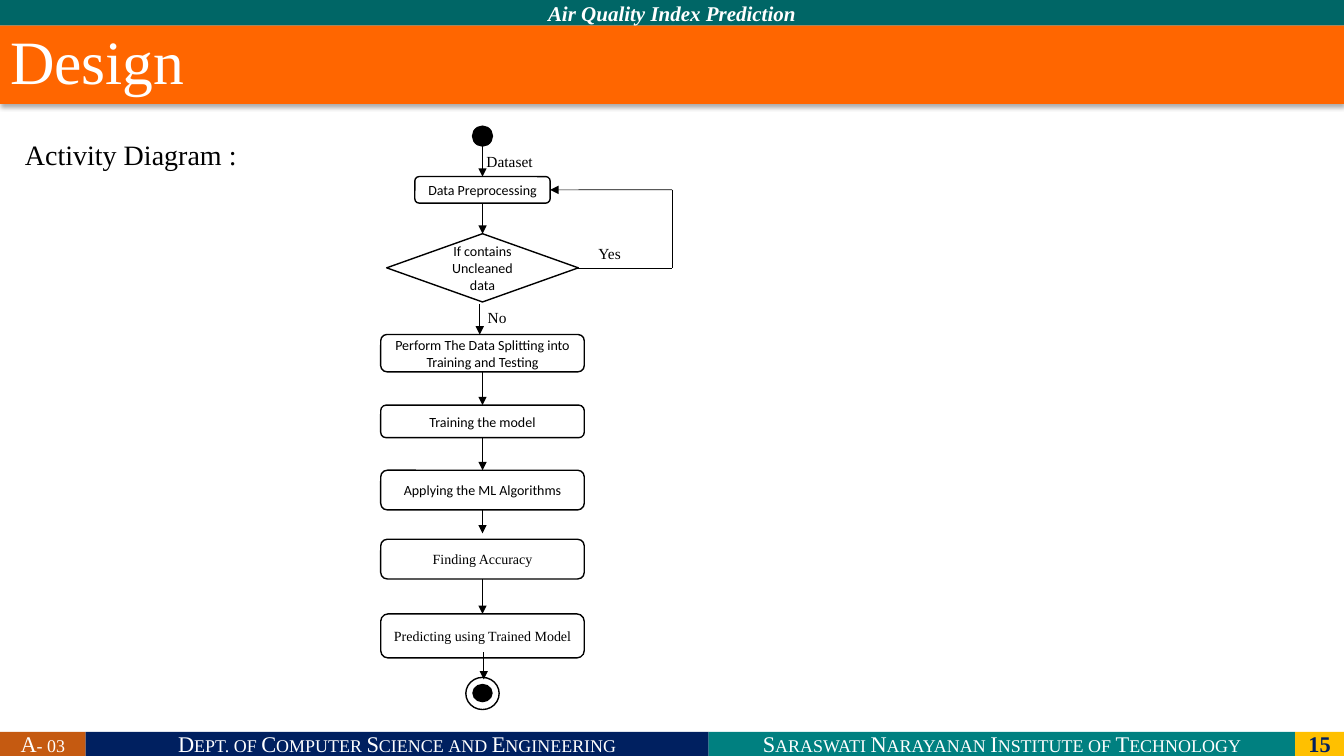
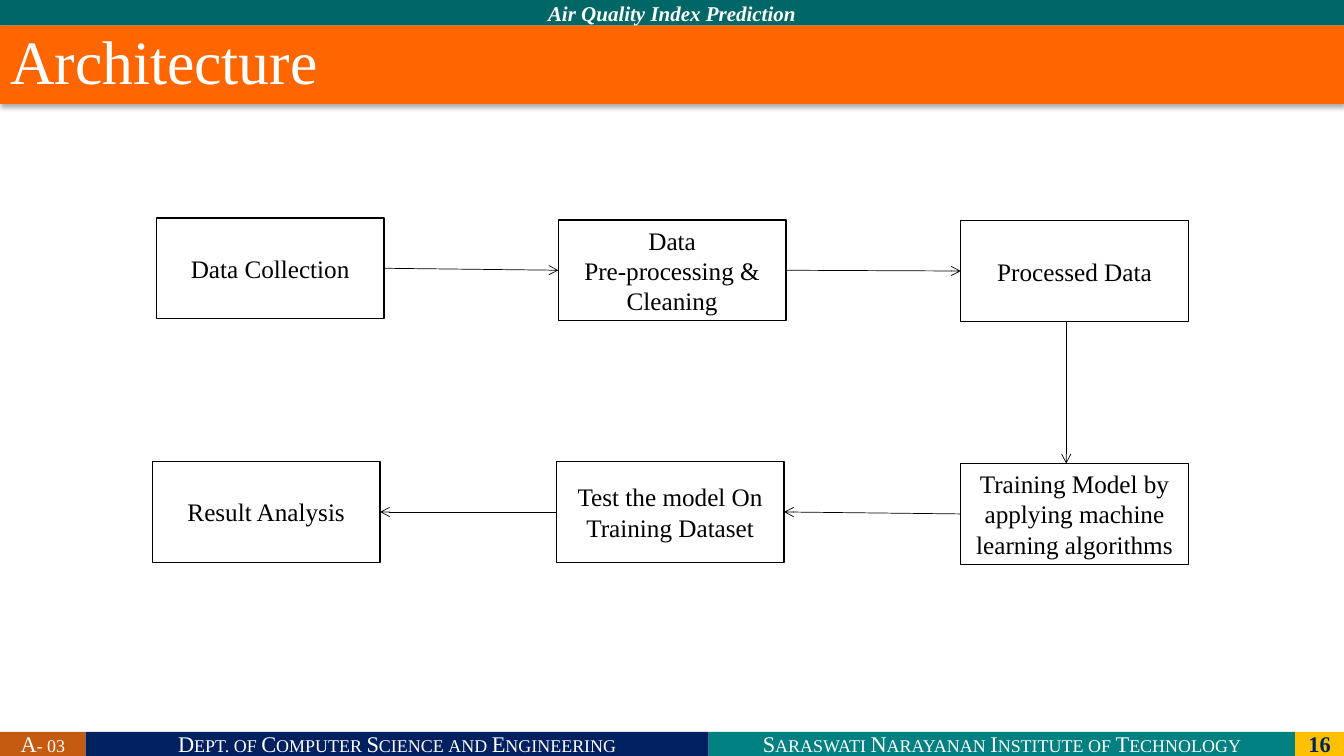
from dataclasses import dataclass

from lxml import etree
from pptx import Presentation
from pptx.dml.color import RGBColor
from pptx.enum.shapes import MSO_CONNECTOR, MSO_SHAPE
from pptx.enum.text import MSO_ANCHOR, MSO_AUTO_SIZE, PP_ALIGN
from pptx.oxml.ns import qn
from pptx.util import Cm, Pt

RECT = MSO_SHAPE.RECTANGLE
ROUNDED = MSO_SHAPE.ROUNDED_RECTANGLE
DIAMOND = MSO_SHAPE.DIAMOND
ELLIPSE = MSO_SHAPE.OVAL
STRAIGHT = MSO_CONNECTOR.STRAIGHT
LEFT_ALIGN = PP_ALIGN.LEFT
CENTER_ALIGN = PP_ALIGN.CENTER
MIDDLE = MSO_ANCHOR.MIDDLE
NO_FIT = MSO_AUTO_SIZE.NONE
GROW = MSO_AUTO_SIZE.SHAPE_TO_FIT_TEXT

TITLE_ONLY = 5
TOP, LEFT, BOTTOM, RIGHT = range(4)


@dataclass(frozen=True)
class Theme:
    white: str = "FFFFFF"
    black: str = "000000"
    navy: str = "002060"
    teal: str = "008080"
    dark_teal: str = "006666"
    gold: str = "FFC000"
    rust: str = "C55A11"
    orange: str = "FF6600"
    serif: str = "Times New Roman"
    sans: str = "Calibri"
    title_size: int = 44
    heading_size: int = 20
    block_size: int = 18
    footer_size: int = 16
    header_size: int = 15
    label_size: int = 11
    step_size: int = 10
    outline: float = 1
    connector: float = 0.5


THEME = Theme()
PAGE_WIDTH, PAGE_HEIGHT = 33.87, 19.05
FOOTER_TOP, FOOTER_HEIGHT = 18.44, 0.61
HEADER_HEIGHT = 0.64
FLOW_CENTER = 12.16
LOOP_X = 16.94
STEP_WIDTH = 5.13
BLOCK_WIDTH, BLOCK_HEIGHT = 5.74, 2.54

# name: text, preset, top, width, height, font
STEPS = {
    "preprocess": ("Data Preprocessing", ROUNDED, 4.45, 3.41, 0.67, THEME.sans),
    "check": ("If contains Uncleaned data", DIAMOND, 5.89, 4.83, 1.72, THEME.sans),
    "split": ("Perform The Data Splitting into Training and Testing",
              ROUNDED, 8.43, STEP_WIDTH, 0.94, THEME.sans),
    "train": ("Training the model", ROUNDED, 10.21, STEP_WIDTH, 0.82, THEME.sans),
    "apply": ("Applying the ML Algorithms", ROUNDED, 11.85, STEP_WIDTH, 1, THEME.sans),
    "accuracy": ("Finding Accuracy", ROUNDED, 13.59, STEP_WIDTH, 1, THEME.serif),
    "predict": ("Predicting using Trained Model",
                ROUNDED, 15.47, STEP_WIDTH, 1.11, THEME.serif),
}
STEP_LINKS = [("preprocess", "check"), ("split", "train"),
              ("train", "apply"), ("accuracy", "predict")]

# name: text, left, top
BLOCKS = {
    "collect": ("Data Collection", 3.94, 5.49),
    "clean": ("Data\nPre-processing & Cleaning", 14.07, 5.54),
    "processed": ("Processed Data", 24.21, 5.56),
    "train": ("Training Model by applying machine learning algorithms", 24.21, 11.68),
    "test": ("Test the model On Training Dataset", 14.02, 11.63),
    "result": ("Result Analysis", 3.84, 11.63),
}
BLOCK_LINKS = [("collect", RIGHT, "clean", LEFT), ("clean", RIGHT, "processed", LEFT),
               ("train", LEFT, "test", RIGHT), ("test", LEFT, "result", RIGHT)]


def set_attributes(target, values):
    for name, value in values.items():
        setattr(target, name, value)


def write(box, text, size, color=THEME.black, font=THEME.serif, align=CENTER_ALIGN,
          small_caps=False, **styles):
    """Fill a shape with text, one paragraph per line."""
    frame = box.text_frame
    frame.text = text
    for para in frame.paragraphs:
        para.alignment = align
        for span in para.runs:
            set_attributes(span.font, {"name": font, "size": Pt(size), **styles})
            span.font.color.rgb = RGBColor.from_string(color)
            if small_caps:
                span.font._element.set("cap", "small")


def add_box(page, preset, left, top, width, height, fill, outline=None):
    box = page.shapes.add_shape(preset, Cm(left), Cm(top), Cm(width), Cm(height))
    box.shadow.inherit = False
    box.fill.solid()
    box.fill.fore_color.rgb = RGBColor.from_string(fill)
    if outline:
        box.line.color.rgb = RGBColor.from_string(outline)
        box.line.width = Pt(THEME.outline)
    else:
        box.line.fill.background()
    set_attributes(box.text_frame, {"word_wrap": True, "vertical_anchor": MIDDLE})
    return box


def add_dot(page, top, width, height, fill=THEME.black):
    return add_box(page, ELLIPSE, FLOW_CENTER - width / 2, top, width, height,
                   fill, THEME.black)


def add_label(page, text, left, top, width, height=0.74, size=THEME.label_size):
    label = page.shapes.add_textbox(Cm(left), Cm(top), Cm(width), Cm(height))
    write(label, text, size, align=LEFT_ALIGN)
    set_attributes(label.text_frame, {"word_wrap": False, "auto_size": GROW})


def add_link(page, start, end, head="triangle"):
    """Draw a line; each end is an (x, y) point in cm or a (shape, side) pair."""
    link = page.shapes.add_connector(STRAIGHT, 0, 0, 0, 0)
    ends = (("begin", start, link.begin_connect), ("end", end, link.end_connect))
    for name, (first, second), connect in ends:
        if isinstance(first, (int, float)):
            set_attributes(link, {f"{name}_x": Cm(first), f"{name}_y": Cm(second)})
        else:
            connect(first, second)
    link.line.color.rgb = RGBColor.from_string(THEME.black)
    link.line.width = Pt(THEME.connector)
    properties = link.element.spPr
    if head:
        etree.SubElement(properties.find(qn("a:ln")), qn("a:tailEnd"), type=head)
    etree.SubElement(properties, qn("a:effectLst"))


def add_drop_shadow(box):
    effects = etree.SubElement(box.element.spPr, qn("a:effectLst"))
    shadow = etree.SubElement(effects, qn("a:outerShdw"), blurRad=str(Pt(3.5)),
                              dist=str(Pt(2.2)), dir="5400000", rotWithShape="0")
    color = etree.SubElement(shadow, qn("a:srgbClr"), val=THEME.black)
    etree.SubElement(color, qn("a:alpha"), val="32000")


def add_bands(page, number):
    header = add_box(page, RECT, 0, 0, PAGE_WIDTH, HEADER_HEIGHT, THEME.dark_teal)
    write(header, "Air Quality Index Prediction", THEME.header_size, THEME.white,
          bold=True, italic=True)
    caps = {"color": THEME.white, "small_caps": True}
    footers = [
        ("A- 03", 2.16, THEME.rust, caps),
        ("Dept. of Computer Science and Engineering", 15.7, THEME.navy, caps),
        ("Saraswati Narayanan Institute of Technology", 14.78, THEME.teal, caps),
        (str(number), 1.23, THEME.gold, {"color": THEME.navy, "bold": True}),
    ]
    left = 0
    for text, width, fill, styles in footers:
        band = add_box(page, RECT, left, FOOTER_TOP, width, FOOTER_HEIGHT, fill)
        write(band, text, THEME.footer_size, **styles)
        left += width


def add_page(deck, title_text, number):
    page = deck.slides.add_slide(deck.slide_layouts[TITLE_ONLY])
    add_bands(page, number)
    title = page.shapes.title
    set_attributes(title, {"left": Cm(0), "top": Cm(HEADER_HEIGHT),
                           "width": Cm(PAGE_WIDTH), "height": Cm(1.98)})
    title.fill.solid()
    title.fill.fore_color.rgb = RGBColor.from_string(THEME.orange)
    add_drop_shadow(title)
    write(title, title_text, THEME.title_size, THEME.white, align=LEFT_ALIGN)
    title.text_frame.paragraphs[0].line_spacing = 0.9
    set_attributes(title.text_frame, {"vertical_anchor": MIDDLE, "auto_size": NO_FIT})
    return page


def add_steps(page):
    steps = {}
    for name, (text, preset, top, width, height, font) in STEPS.items():
        steps[name] = add_box(page, preset, FLOW_CENTER - width / 2, top, width,
                              height, THEME.white, THEME.black)
        write(steps[name], text, THEME.step_size, font=font)
    return steps


def build_design(deck):
    page = add_page(deck, "Design", 15)
    add_label(page, "Activity Diagram :", 0.38, 3.33, 5.89, 1.12, THEME.heading_size)
    add_dot(page, 3.18, 0.5, 0.5)
    steps = add_steps(page)
    add_dot(page, 17.07, 0.84, 0.81, THEME.white)
    add_dot(page, 17.25, 0.48, 0.43)

    add_link(page, (FLOW_CENTER, 3.68), (steps["preprocess"], TOP))
    for source, target in STEP_LINKS:
        add_link(page, (steps[source], BOTTOM), (steps[target], TOP))
    for x, start, end in [(12.09, 7.65, 8.43), (FLOW_CENTER, 12.85, 13.44),
                          (12.19, 16.43, 17.12)]:
        add_link(page, (x, start), (x, end))

    add_link(page, (steps["check"], RIGHT), (LOOP_X, 6.75), head=None)
    add_link(page, (LOOP_X, 6.75), (LOOP_X, 4.78), head=None)
    add_link(page, (LOOP_X, 4.78), (steps["preprocess"], RIGHT))

    for text, left, top, width in [("Dataset", 12.01, 3.71, 1.75),
                                   ("Yes", 14.83, 6.02, 1.12),
                                   ("No", 12.04, 7.65, 0.99)]:
        add_label(page, text, left, top, width)


def build_architecture(deck):
    page = add_page(deck, "Architecture", 16)
    blocks = {}
    for name, (text, left, top) in BLOCKS.items():
        blocks[name] = add_box(page, RECT, left, top, BLOCK_WIDTH, BLOCK_HEIGHT,
                               THEME.white, THEME.black)
        write(blocks[name], text, THEME.block_size)
    for source, source_side, target, target_side in BLOCK_LINKS:
        add_link(page, (blocks[source], source_side), (blocks[target], target_side),
                 head="arrow")
    add_link(page, (26.87, 8.1), (26.87, 11.68), head="arrow")


def main():
    deck = Presentation()
    set_attributes(deck, {"slide_width": Cm(PAGE_WIDTH), "slide_height": Cm(PAGE_HEIGHT)})
    build_design(deck)
    build_architecture(deck)
    deck.save("out.pptx")


if __name__ == "__main__":
    main()
